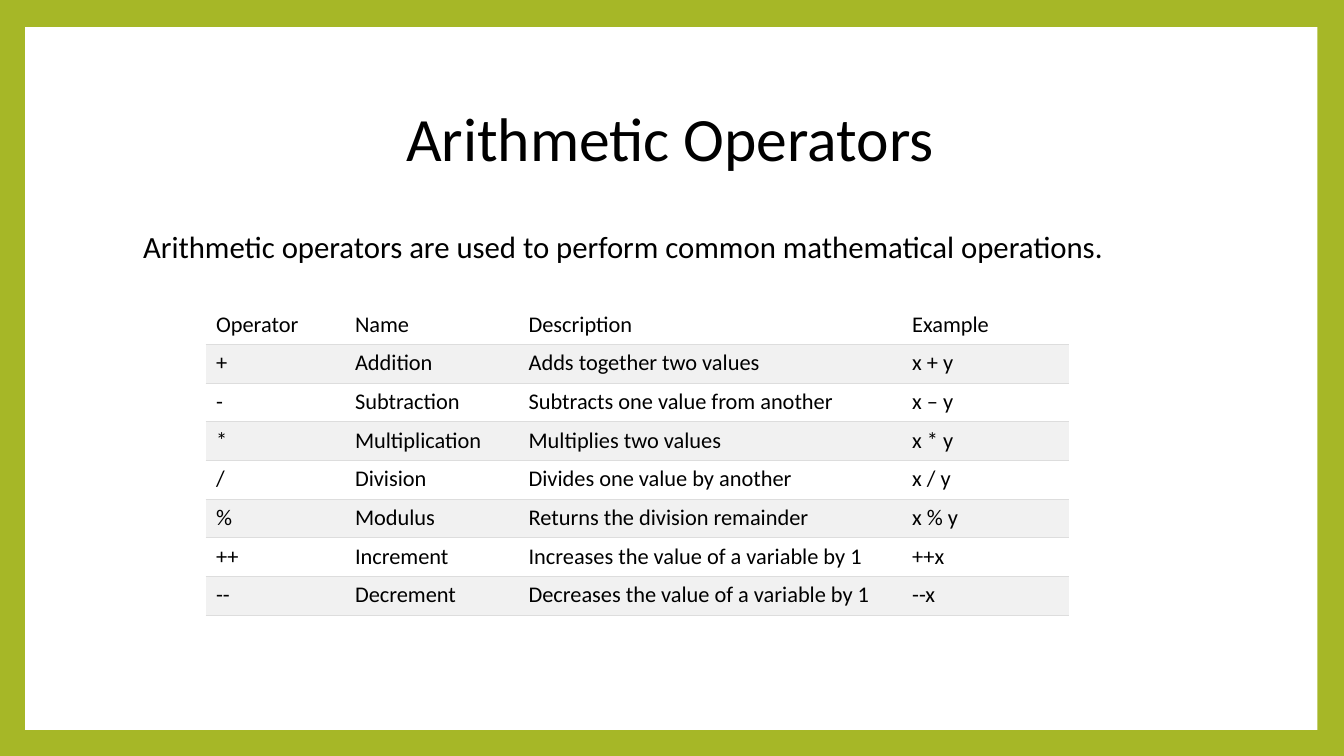
from dataclasses import dataclass

import lxml.etree
import pptx
import pptx.dml.color
import pptx.enum.shapes
import pptx.enum.text
import pptx.oxml.ns
import pptx.util

Pt = pptx.util.Pt
NO_GRID_STYLE = "{2D5ABB26-0587-4C30-8999-92F81FD0307C}"


@dataclass(frozen=True)
class Theme:
    font: str = "Calibri"
    frame: str = "A6B727"
    paper: str = "FFFFFF"
    band: str = "F1F1F1"
    rule: str = "DDDDDD"
    ink: str = "000000"
    title_size: float = 44
    intro_size: float = 22
    table_size: float = 16
    rule_width: float = 0.6


@dataclass(frozen=True)
class Box:
    left: float
    top: float
    width: float
    height: float

    def lengths(self) -> tuple:
        return Pt(self.left), Pt(self.top), Pt(self.width), Pt(self.height)


@dataclass(frozen=True)
class Caption:
    text: str
    box: Box
    size: float
    align: pptx.enum.text.PP_ALIGN
    anchor: pptx.enum.text.MSO_ANCHOR
    inset: float


@dataclass(frozen=True)
class Operator:
    symbol: str
    name: str
    description: str
    example: str

    def cells(self) -> tuple:
        return self.symbol, self.name, self.description, self.example


THEME = Theme()
PAPER = Box(18, 19.4, 923, 502)
TABLE = Box(146.9, 218.2, 617, 221.2)
COLUMN_WIDTHS = (103, 124, 274, 116)

CAPTIONS = (
    Caption("Arithmetic Operators", Box(90, 48, 777.6, 106.6), THEME.title_size,
            pptx.enum.text.PP_ALIGN.CENTER, pptx.enum.text.MSO_ANCHOR.MIDDLE, 7.2),
    Caption("Arithmetic operators are used to perform common mathematical operations.",
            Box(91.4, 162, 777.6, 318), THEME.intro_size,
            pptx.enum.text.PP_ALIGN.LEFT, pptx.enum.text.MSO_ANCHOR.TOP, 10.8),
)

OPERATORS = (
    Operator("Operator", "Name", "Description", "Example"),
    Operator("+", "Addition", "Adds together two values", "x + y"),
    Operator("-", "Subtraction", "Subtracts one value from another", "x – y"),
    Operator("*", "Multiplication", "Multiplies two values", "x * y"),
    Operator("/", "Division", "Divides one value by another", "x / y"),
    Operator("%", "Modulus", "Returns the division remainder", "x % y"),
    Operator("++", "Increment", "Increases the value of a variable by 1", "++x"),
    Operator("--", "Decrement", "Decreases the value of a variable by 1", "--x"),
)


def rgb(value: str) -> pptx.dml.color.RGBColor:
    return pptx.dml.color.RGBColor.from_string(value)


def paint(fill, colour: str) -> None:
    fill.solid()
    fill.fore_color.rgb = rgb(colour)


def style(paragraph, size: float) -> None:
    paragraph.font.name = THEME.font
    paragraph.font.size = Pt(size)
    paragraph.font.color.rgb = rgb(THEME.ink)


def draw_paper(slide) -> None:
    paper = slide.shapes.add_shape(pptx.enum.shapes.MSO_SHAPE.RECTANGLE, *PAPER.lengths())
    paint(paper.fill, THEME.paper)
    paper.line.fill.background()
    paper.shadow.inherit = False


def draw_caption(slide, caption: Caption) -> None:
    frame = slide.shapes.add_textbox(*caption.box.lengths()).text_frame
    frame.word_wrap = True
    frame.vertical_anchor = caption.anchor
    frame.margin_left = Pt(caption.inset)
    paragraph = frame.paragraphs[0]
    paragraph.text = caption.text
    paragraph.alignment = caption.align
    paragraph.line_spacing = 0.9
    style(paragraph, caption.size)


def add_rule(cell, side: str) -> None:
    """Draw a thin line on one side of a cell; borders come before the fill."""
    qn = pptx.oxml.ns.qn
    border = lxml.etree.Element(qn(f"a:{side}"), w=str(int(Pt(THEME.rule_width))))
    fill = lxml.etree.SubElement(border, qn("a:solidFill"))
    lxml.etree.SubElement(fill, qn("a:srgbClr"), val=THEME.rule)
    cell._tc.get_or_add_tcPr().insert(0, border)


def draw_operators(slide) -> None:
    table = slide.shapes.add_table(
        len(OPERATORS), len(COLUMN_WIDTHS), *TABLE.lengths()).table
    table.first_row = table.horz_banding = False
    table._tbl.tblPr.find(pptx.oxml.ns.qn("a:tableStyleId")).text = NO_GRID_STYLE
    for column, width in zip(table.columns, COLUMN_WIDTHS):
        column.width = Pt(width)
    for r, operator in enumerate(OPERATORS):
        table.rows[r].height = Pt(TABLE.height / len(OPERATORS))
        for c, text in enumerate(operator.cells()):
            cell = table.cell(r, c)
            cell.text = text
            style(cell.text_frame.paragraphs[0], THEME.table_size)
            cell.margin_left = Pt(7.5 if c == 0 else 3.75)
            cell.margin_top = cell.margin_right = cell.margin_bottom = Pt(3.75)
            paint(cell.fill, THEME.band if r % 2 else THEME.paper)
            add_rule(cell, "lnB")
            if r > 0:
                add_rule(cell, "lnT")


def main() -> None:
    deck = pptx.Presentation()
    deck.slide_width, deck.slide_height = Pt(960), Pt(540)
    slide = deck.slides.add_slide(deck.slide_layouts[6])

    # Green frame around white paper
    paint(slide.background.fill, THEME.frame)
    draw_paper(slide)

    # Title and introduction
    for caption in CAPTIONS:
        draw_caption(slide, caption)

    # Table of operators
    draw_operators(slide)
    deck.save("out.pptx")


if __name__ == "__main__":
    main()
